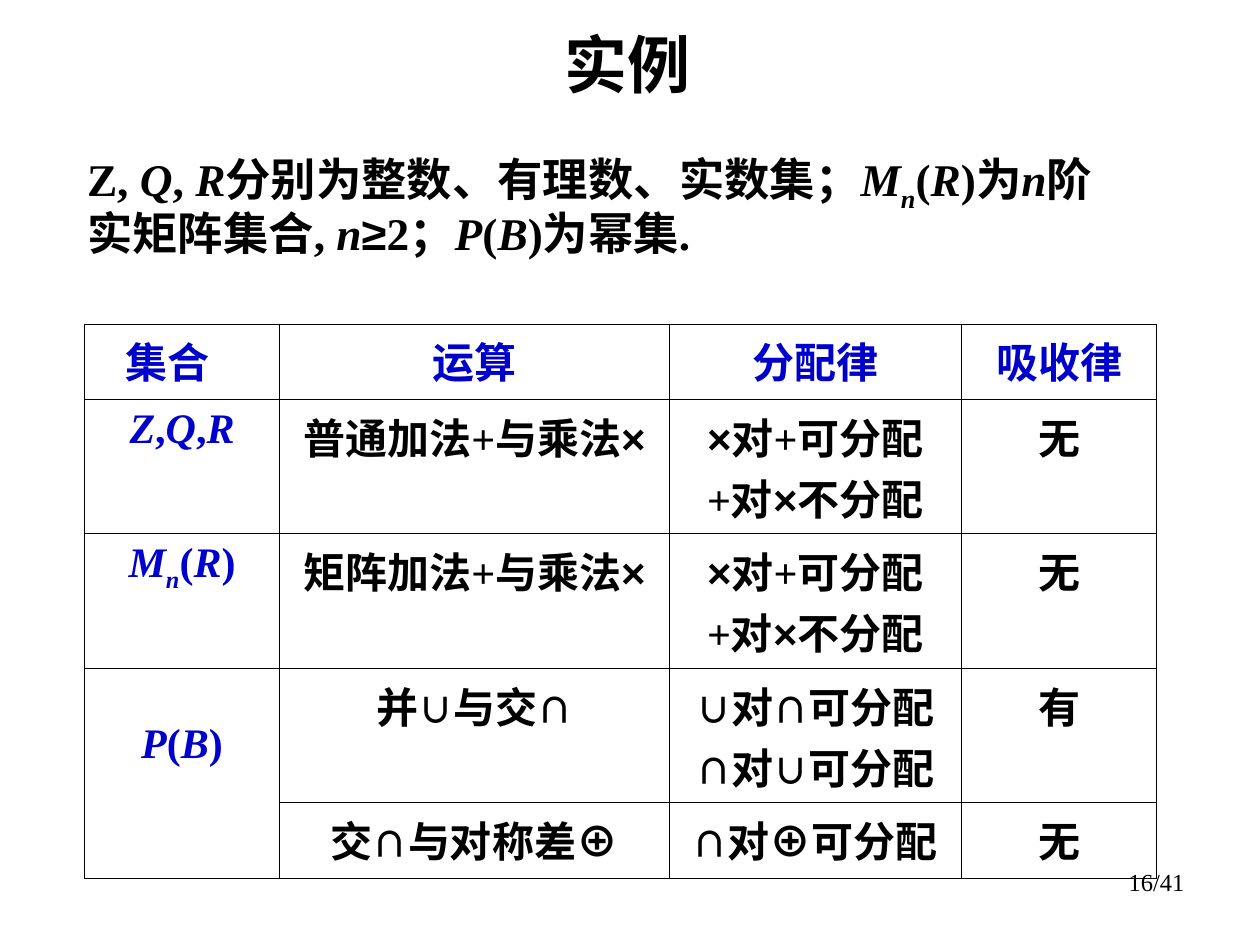
from itertools import groupby

from lxml import etree
from pptx import Presentation
from pptx.dml.color import RGBColor
from pptx.enum.text import MSO_ANCHOR, MSO_AUTO_SIZE, PP_ALIGN
from pptx.oxml.ns import qn
from pptx.util import Cm, Pt

LEFT, CENTER, RIGHT = PP_ALIGN.LEFT, PP_ALIGN.CENTER, PP_ALIGN.RIGHT
MIDDLE = MSO_ANCHOR.MIDDLE
NO_AUTOFIT = MSO_AUTO_SIZE.NONE

BLACK, BLUE = "000000", "0000CC"
SERIF, SANS = "Times New Roman", "Arial"
SANS_SYMBOLS = "×≥∪∩⊕"
SMALL_SYMBOLS = "∪∩"
BORDER_SIDES = ("a:lnL", "a:lnR", "a:lnT", "a:lnB")

INTRODUCTION = [
    "Z, *Q*, *R*分别为整数、有理数、实数集；*M~n~*(*R*)为*n*阶",
    "实矩阵集合, *n*≥2；*P*(*B*)为幂集.",
]
RING_LAWS = "×对+可分配\n+对×不分配"
LAWS = [
    ["集合", "运算", "分配律", "吸收律"],
    ["*Z*,*Q*,*R*", "普通加法+与乘法×", RING_LAWS, "无"],
    ["*M~n~*(*R*)", "矩阵加法+与乘法×", RING_LAWS, "无"],
    ["*P*(*B*)", "并∪与交∩", "∪对∩可分配\n∩对∪可分配", "有"],
    ["", "交∩与对称差⊕", "∩对⊕可分配", "无"],
]
COLUMN_WIDTHS = [3.94, 7.85, 5.89, 3.94]
ROW_HEIGHTS = [1.52, 2.49, 2.49, 2.49, 1.52]


def color(hex_string):
    return RGBColor.from_string(hex_string)


def styled_characters(text):
    """Yield (character, style); *...* is italic and ~...~ is subscript."""
    italic = subscript = False
    for character in text:
        if character == "*":
            italic = not italic
        elif character == "~":
            subscript = not subscript
        else:
            style = (italic, subscript, character in SANS_SYMBOLS, character in SMALL_SYMBOLS)
            yield character, style


def write_text(text_frame, text, size=24, font=SERIF, fill=BLACK, bold=True,
               align=CENTER, line_spacing=None, gap=0, hanging=0, symbol_size=20):
    """Write one paragraph for each line of text."""
    for number, line in enumerate(text.split("\n")):
        paragraph = text_frame.add_paragraph() if number else text_frame.paragraphs[0]
        properties = paragraph._p.get_or_add_pPr()
        properties.set("marL", str(Cm(hanging)))
        properties.set("indent", str(-Cm(hanging)))
        etree.SubElement(properties, qn("a:buNone"))
        paragraph.alignment = align
        paragraph.space_before = Pt(gap if number else 0)
        if line_spacing:
            paragraph.line_spacing = line_spacing
        for style, group in groupby(styled_characters(line), key=lambda pair: pair[1]):
            italic, subscript, sans, small = style
            run = paragraph.add_run()
            run.text = "".join(character for character, _ in group)
            run.font.name = SANS if sans else font
            run.font.size = Pt(symbol_size if small else size)
            run.font.bold = bold
            run.font.italic = italic
            run.font.color.rgb = color(fill)
            if subscript:
                run._r.get_or_add_rPr().set("baseline", "-27000")


class SlideBuilder:
    def __init__(self, slide):
        self.slide = slide
        self.border_color = BLACK
        self.border_width = Pt(0.45)

    def placeholder(self, index, left, top, width, height, text, anchor=None, **text_format):
        shape = self.slide.placeholders[index]
        shape.left, shape.top, shape.width, shape.height = map(Cm, (left, top, width, height))
        shape.text_frame.auto_size = NO_AUTOFIT
        if anchor is not None:
            shape.text_frame.vertical_anchor = anchor
        write_text(shape.text_frame, text, **text_format)

    def text_box(self, left, top, width, height, text, **text_format):
        shape = self.slide.shapes.add_textbox(*map(Cm, (left, top, width, height)))
        shape.text_frame.word_wrap = True
        write_text(shape.text_frame, text, **text_format)

    def border(self, cell):
        properties = cell._tc.get_or_add_tcPr()
        for position, side in enumerate(BORDER_SIDES):
            line = etree.Element(qn(side), w=str(self.border_width))
            solid = etree.SubElement(line, qn("a:solidFill"))
            etree.SubElement(solid, qn("a:srgbClr"), val=self.border_color)
            properties.insert(position, line)

    def table(self, left, top, rows, widths, heights):
        frame = self.slide.shapes.add_table(
            len(rows), len(widths), Cm(left), Cm(top), Cm(sum(widths)), Cm(sum(heights)))
        table = frame.table
        table.first_row = table.horz_banding = False
        for column, width in zip(table.columns, widths):
            column.width = Cm(width)
        for row, height in zip(table.rows, heights):
            row.height = Cm(height)
        for row_index, texts in enumerate(rows):
            for column_index, text in enumerate(texts):
                cell = table.cell(row_index, column_index)
                cell.fill.background()
                self.border(cell)
                heading = row_index == 0 or column_index == 0
                write_text(cell.text_frame, text, fill=BLUE if heading else BLACK)
        return table


def main():
    presentation = Presentation()
    presentation.slide_width, presentation.slide_height = Cm(25.4), Cm(19.05)
    builder = SlideBuilder(presentation.slides.add_slide(presentation.slide_layouts[1]))

    # Title and introduction
    builder.placeholder(0, 4.14, 0.69, 17, 1.17, "实例", anchor=MIDDLE, size=36, font=SANS)
    builder.placeholder(1, 1.5, 2.92, 23.4, 3, "\n".join(INTRODUCTION), size=25.9,
                        align=LEFT, line_spacing=0.9, gap=2, hanging=0.97)

    # Table of laws; the power set covers two rows
    table = builder.table(1.7, 6.53, LAWS, COLUMN_WIDTHS, ROW_HEIGHTS)
    table.cell(0, 0).margin_right = Cm(0.86)
    power_set = table.cell(3, 0)
    power_set.merge(table.cell(4, 0))
    power_set.margin_top = Cm(1.07)

    # Page number
    builder.text_box(18.21, 17.35, 5.92, 1.32, "16/41", size=14, bold=False, align=RIGHT)

    presentation.save("out.pptx")


if __name__ == "__main__":
    main()
